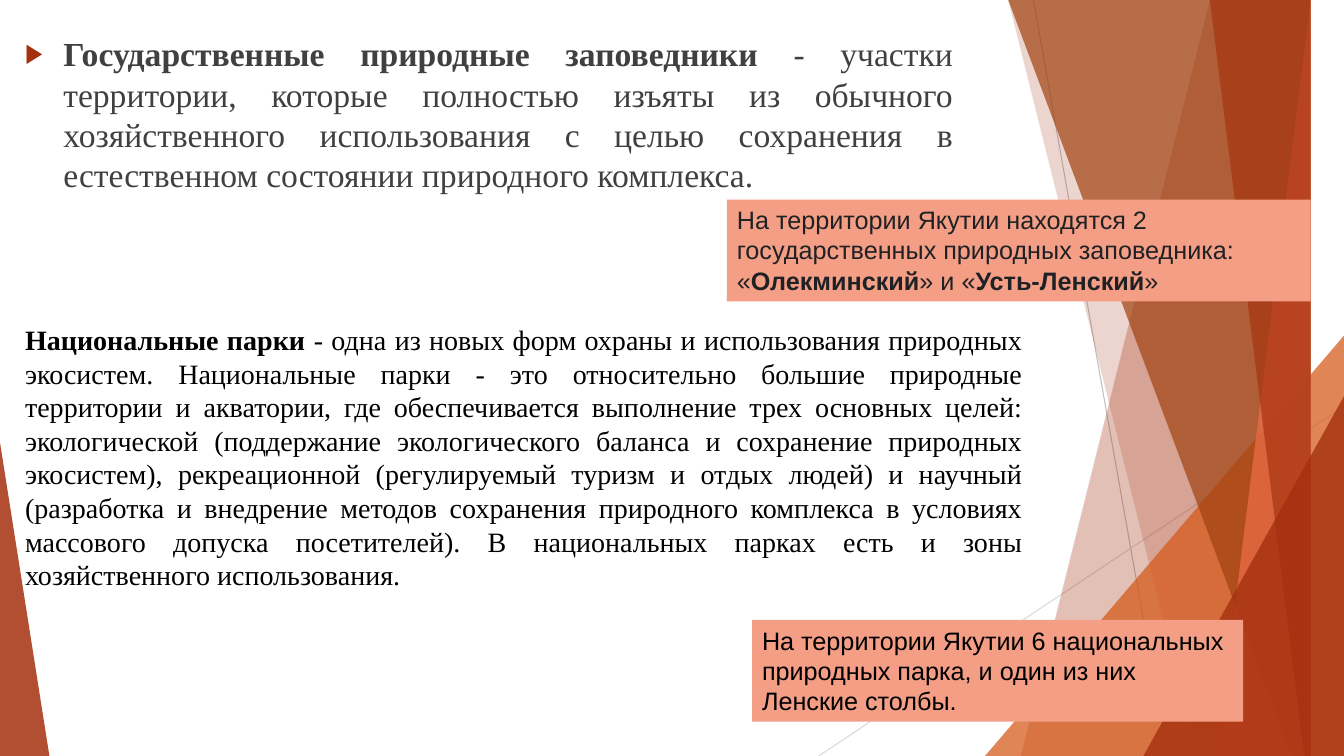
from lxml import etree
from pptx import Presentation, util as u
from pptx.dml.color import RGBColor
from pptx.enum import shapes, text
from pptx.oxml.ns import qn

# Content
COLORS = {"rust": "A5300F", "orange": "D55816", "brown": "A04210", "coral": "EE6E4A",
          "salmon": "F49E86", "grey": "BFBFBF", "pale": "D9D9D9",
          "body": "404040", "ink": "202124", "black": "000000"}
WIDTH, HEIGHT, TOP = 13.33, 7.5, -0.01

LINES = [((10.25, 0), (11.58, HEIGHT), "grey"), ((WIDTH, 4.03), (8.12, HEIGHT), "pale")]

# Bands reach the right edge: (top x, bottom x). Triangles stand on the bottom
# edge: (left, top, width, apex position). Then colour and opacity in percent.
FACETS = [
    ("band", (12.28, 10.04), "rust", 30),
    ("band", (10.5, 11.83), "rust", 20),
    ("triangle", (9.77, 3.33, 3.56, 1), "orange", 72),
    ("band", (10.21, 12.91), "brown", 70),
    ("band", (13.03, 11.92), "coral", 70),
    ("band", (11.96, 13.18), "rust", 65),
    ("triangle", (11.34, 3.93, 1.99, 1), "rust", 80),
    ("triangle", (0, 4.39, 0.49, 0), "rust", 85),
]

# Each text: box, font, size, colour, fill, justified, bullet, runs (text, bold)
SERIF, SANS = "Times New Roman", "Arial"
TEXTS = [
    ((0.15, 0.28, 9.4, 1.84), SERIF, 24, "body", None, True, "▶", [
        ("Государственные природные заповедники ", True),
        ("- участки территории, которые полностью изъяты из обычного хозяйственного "
         "использования с целью сохранения в естественном состоянии природного "
         "комплекса.", False)]),
    ((7.21, 1.98, 5.79, 1.01), SANS, 18, "ink", "salmon", False, None, [
        ("На территории Якутии находятся 2 государственных природных заповедника: «", False),
        ("Олекминский", True), ("» и «", False), ("Усть-Ленский", True), ("»", False)]),
    ((0.15, 3.15, 10.09, 2.79), SERIF, 20, "black", None, True, None, [
        ("Национальные парки", True),
        (" - одна из новых форм охраны и использования природных экосистем. "
         "Национальные парки - это относительно большие природные территории и "
         "акватории, где обеспечивается выполнение трех основных целей: экологической "
         "(поддержание экологического баланса и сохранение природных экосистем), "
         "рекреационной (регулируемый туризм и отдых людей) и научный (разработка и "
         "внедрение методов сохранения природного комплекса в условиях массового "
         "допуска посетителей). В национальных парках есть и зоны хозяйственного "
         "использования.", False)]),
    ((7.46, 6.15, 4.87, 1.01), SANS, 18, "black", "salmon", False, None, [
        ("На территории Якутии 6 национальных природных парка, и один из них "
         "Ленские столбы.", False)]),
]


def rgb(name):
    return RGBColor.from_string(COLORS[name])


def paint(sp, color, opacity=100):
    sp.shadow.inherit = False
    sp.line.fill.background()
    sp.fill.solid()
    sp.fill.fore_color.rgb = rgb(color)
    if opacity < 100:
        clr = sp.fill._xPr.find(".//" + qn("a:srgbClr"))
        etree.SubElement(clr, qn("a:alpha"), val=str(opacity * 1000))


def add_bullet(p, char, color, percent, indent):
    pPr = p._p.get_or_add_pPr()
    pPr.set("marL", str(u.Inches(indent)))
    pPr.set("indent", str(u.Inches(-indent)))
    clr = etree.SubElement(pPr, qn("a:buClr"))
    etree.SubElement(clr, qn("a:srgbClr"), val=COLORS[color])
    etree.SubElement(pPr, qn("a:buSzPct"), val=str(percent * 1000))
    etree.SubElement(pPr, qn("a:buFont"), typeface=SANS)
    etree.SubElement(pPr, qn("a:buChar"), char=char)


prs = Presentation()
prs.slide_width, prs.slide_height = u.Inches(WIDTH), u.Inches(HEIGHT)
s = prs.slides.add_slide(prs.slide_layouts[6])

# Thin lines behind the facets
for start, end, color in LINES:
    ln = s.shapes.add_connector(shapes.MSO_CONNECTOR.STRAIGHT,
                                *(u.Inches(v) for v in start + end))
    ln.line.color.rgb = rgb(color)
    ln.line.width = u.Pt(0.75)
    etree.SubElement(ln._element.spPr, qn("a:effectLst"))

# Translucent facets
for kind, geometry, color, opacity in FACETS:
    if kind == "band":
        top_x, bottom_x = geometry
        fb = s.shapes.build_freeform(top_x, TOP, scale=u.Inches(1))
        fb.add_line_segments([(WIDTH, TOP), (WIDTH, HEIGHT), (bottom_x, HEIGHT)])
        sp = fb.convert_to_shape()
    else:
        left, top, width, apex = geometry
        sp = s.shapes.add_shape(shapes.MSO_SHAPE.ISOSCELES_TRIANGLE,
                                *(u.Inches(v) for v in (left, top, width, HEIGHT - top)))
        sp.adjustments[0] = apex
    paint(sp, color, opacity)

# Definitions and salmon notes
for box, font, size, color, fill, justified, bullet, runs in TEXTS:
    place = [u.Inches(v) for v in box]
    if fill:
        sp = s.shapes.add_shape(shapes.MSO_SHAPE.RECTANGLE, *place)
        paint(sp, fill)
    else:
        sp = s.shapes.add_textbox(*place)
    tf = sp.text_frame
    tf.word_wrap = True
    tf.vertical_anchor = text.MSO_ANCHOR.TOP
    p = tf.paragraphs[0]
    p.alignment = text.PP_ALIGN.JUSTIFY if justified else text.PP_ALIGN.LEFT
    if bullet:
        add_bullet(p, bullet, "rust", 80, 0.38)
    for words, bold in runs:
        r = p.add_run()
        r.text = words
        r.font.name, r.font.size, r.font.bold = font, u.Pt(size), bold
        r.font.color.rgb = rgb(color)

prs.save("out.pptx")
